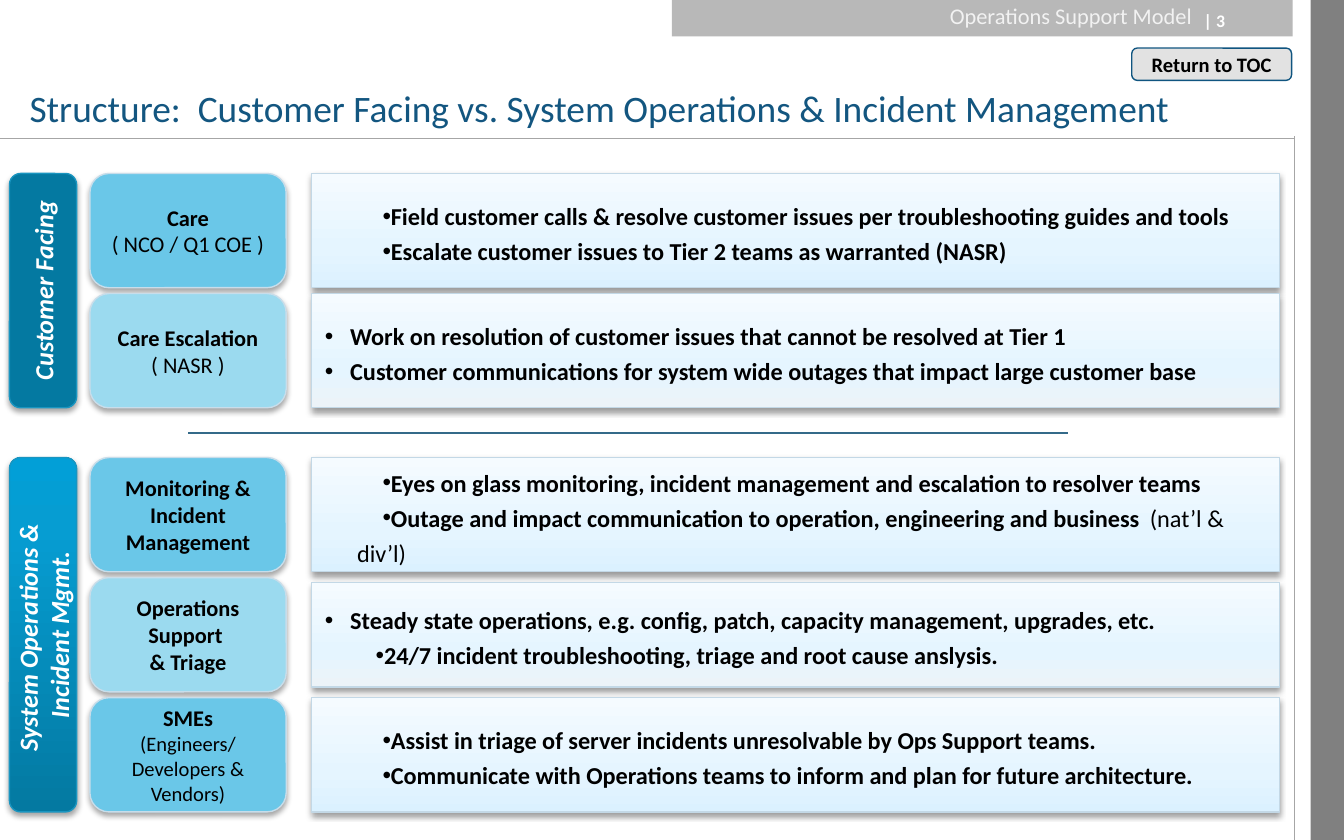
from pptx import Presentation, util as u
from pptx.dml.color import RGBColor
from pptx.enum import shapes as s, text as t
from pptx.oxml import parse_xml
from pptx.oxml.ns import nsdecls, qn

Cm = u.Cm
THEME = dict(
    font="Calibri", ink="000000", white="FFFFFF", pale="F2F2F2", title="135680",
    edge="808080", rule="A6A6A6", band="B8B8B8", button="E2E2E2", frame="105580",
    cards=["6AC7E8", "9BDAEF"], rim="C8DDEA", bar="0479A1", bar_rim="1995C0",
    bar_fade=[(0, "0479A1"), (80, "069DD2"), (100, "029FD7")],
    panels=[[(0, "DBF1FF"), (35, "E5F5FF"), (100, "F5FBFF")],
            [(0, "ECF3F8"), (35, "E5F5FF"), (100, "F5FBFF")]],
    panel_rim="C3D8E6", split="346A89",
    head=20, side=14, body=13, card=12, small=11, page=9.5)


def write(shape, paras, size, color="ink", bold=False, italic=False, align="CENTER",
          anchor="MIDDLE", space=1, inset=None, vert=None, dents=None):
    frame = shape.text_frame
    frame.word_wrap = True
    frame.vertical_anchor = t.MSO_ANCHOR[anchor]
    if inset:
        frame.margin_left = frame.margin_right = Cm(inset[0])
        frame.margin_top = frame.margin_bottom = Cm(inset[1])
    if vert:
        frame._txBody.bodyPr.set("vert", vert)
    for i, runs in enumerate(paras):
        para = frame.paragraphs[0] if i == 0 else frame.add_paragraph()
        para.alignment = t.PP_ALIGN[align]
        para.line_spacing = space
        if dents:
            props = para._p.get_or_add_pPr()
            props.set("marL", str(Cm(dents[i][0])))
            props.set("indent", str(Cm(dents[i][1])))
            props.append(parse_xml(f'<a:buFont {nsdecls("a")} typeface="Arial"/>'))
            props.append(parse_xml(f'<a:buChar {nsdecls("a")} char="•"/>'))
        for words, plain in runs:
            run = para.add_run()
            run.text = words
            font = run.font
            font.name = THEME["font"]
            font.size = u.Pt(THEME[plain or size])
            font.bold = bold and not plain
            font.italic = italic
            font.color.rgb = RGBColor.from_string(THEME[color])


def draw(kind, x, y, w, h, fill, rim=None, shade=None):
    shape = page.shapes.add_shape(s.MSO_SHAPE[kind], Cm(x), Cm(y), Cm(w), Cm(h))
    shape.shadow.inherit = False
    if isinstance(fill, str):
        shape.fill.solid()
        shape.fill.fore_color.rgb = RGBColor.from_string(fill)
    else:
        shape.fill.gradient()
        shape.fill.gradient_angle = 90
        stops = shape._element.spPr.find(qn("a:gradFill")).find(qn("a:gsLst"))
        for old in list(stops):
            stops.remove(old)
        for pos, color in fill:
            stops.append(parse_xml(
                f'<a:gs {nsdecls("a")} pos="{pos * 1000}"><a:srgbClr val="{color}"/></a:gs>'))
    if rim:
        shape.line.color.rgb = RGBColor.from_string(rim)
        shape.line.width = u.Pt(0.75)
    else:
        shape.line.fill.background()
    if shade:
        shape._element.spPr.find(qn("a:effectLst")).append(parse_xml(
            f'<a:outerShdw {nsdecls("a")} blurRad="{u.Pt(3.1)}" dist="{u.Pt(1.7)}" dir="5400000" '
            f'rotWithShape="0"><a:srgbClr val="000000"><a:alpha val="{shade * 1000}"/>'
            '</a:srgbClr></a:outerShdw>'))
    return shape


deck = Presentation()
deck.slide_width, deck.slide_height = Cm(25.4), Cm(15.88)
page = deck.slides.add_slide(deck.slide_layouts[6])

draw("RECTANGLE", 24.77, 0, 0.63, 15.88, THEME["edge"])
for x1, y1, x2, y2, color, width in [
        (24.46, 15.88, 24.46, 2.57, "rule", 0.75),
        (24.46, 2.62, 0, 2.62, "rule", 0.75),
        (3.56, 8.18, 20.19, 8.18, "split", 1)]:
    line = page.shapes.add_connector(s.MSO_CONNECTOR.STRAIGHT, Cm(x1), Cm(y1), Cm(x2), Cm(y2))
    line.line.color.rgb = RGBColor.from_string(THEME[color])
    line.line.width = u.Pt(width)
    line._element.spPr.append(parse_xml(f'<a:effectLst {nsdecls("a")}/>'))
draw("RECTANGLE", 12.7, 0, 11.73, 0.69, THEME["band"])
link = draw("ROUNDED_RECTANGLE", 21.39, 0.91, 3.02, 0.61, THEME["button"], THEME["frame"])
write(link, [[("Return to TOC", None)]], "small", bold=True)

for x, y, w, h, words, look in [
        (22.5, 0.05, 1.88, 0.66, "| 3",
         dict(size="page", color="white", bold=True, align="LEFT")),
        (0.36, 1.75, 24.26, 0.81,
         "Structure:  Customer Facing vs. System Operations & Incident Management",
         dict(size="head", color="title", align="LEFT", anchor="BOTTOM",
              space=0.9, inset=(0.2, 0.1))),
        (12.75, 0.03, 10.03, 0.61, "Operations Support Model",
         dict(size="card", color="pale", align="RIGHT", space=0.9))]:
    label = page.shapes.add_textbox(Cm(x), Cm(y), Cm(w), Cm(h))
    write(label, [[(words, None)]], **look)

HIGH, STEP = 2.16, 2.27
WIDE, MID, HANG = (0.61, 0.48), (0.48, 0.48), (0.48, -0.48)
groups = [
    (3.28, THEME["bar"], ["Customer Facing"], [
        ([[("Care", None)], [("( NCO / Q1 COE )", "card")]],
         [[("Field customer calls & resolve customer issues per troubleshooting guides and tools", None)],
          [("Escalate customer issues to Tier 2 teams as warranted (NASR)", None)]],
         [WIDE, WIDE]),
        ([[("Care Escalation", None)], [("( NASR )", "card")]],
         [[("Work on resolution of customer issues that cannot be resolved at Tier 1", None)],
          [("Customer communications for system wide outages that impact large customer base", None)]],
         [HANG, HANG])]),
    (8.65, THEME["bar_fade"], ["System Operations & ", "Incident Mgmt."], [
        ([[("Monitoring & Incident Management", None)]],
         [[("Eyes on glass monitoring, incident management and escalation to resolver teams", None)],
          [("Outage and impact communication to operation, engineering and business  ", None),
           ("(nat’l & div’l)", "body")]],
         [WIDE, WIDE]),
        ([[("Operations Support ", None)], [("& Triage", None)]],
         [[("Steady state operations, e.g. config, patch, capacity management, upgrades, etc.", None)],
          [("24/7 incident troubleshooting, triage and root cause anslysis.", None)]],
         [HANG, MID]),
        ([[("SMEs", None)], [("(Engineers/ Developers & Vendors)", "small")]],
         [[("Assist in triage of server incidents unresolvable by Ops Support teams.", None)],
          [("Communicate with Operations teams to inform and plan for future architecture.", None)]],
         [WIDE, WIDE])])]

for top, fill, name, rows in groups:
    for i, (role, tasks, dents) in enumerate(rows):
        y = top + i * STEP
        card = draw("ROUNDED_RECTANGLE", 1.7, y, 3.71, HIGH,
                    THEME["cards"][i % 2], THEME["rim"], 35)
        write(card, role, "card", bold=True)
        trim = 0.09 if len(rows) == 3 and i == 1 else 0
        panel = draw("RECTANGLE", 5.89, y + trim, 18.29, HIGH - 2 * trim,
                     THEME["panels"][i % 2], THEME["panel_rim"], 38)
        write(panel, tasks, "body", bold=True, align="LEFT", space=1.2, dents=dents)
    bar = draw("ROUNDED_RECTANGLE", 0.18, top, 1.27, (len(rows) - 1) * STEP + HIGH,
               fill, THEME["bar_rim"], 35)
    write(bar, [[(words, None)] for words in name], "side", color="white",
          bold=True, italic=True, vert="vert270")

deck.save("out.pptx")
